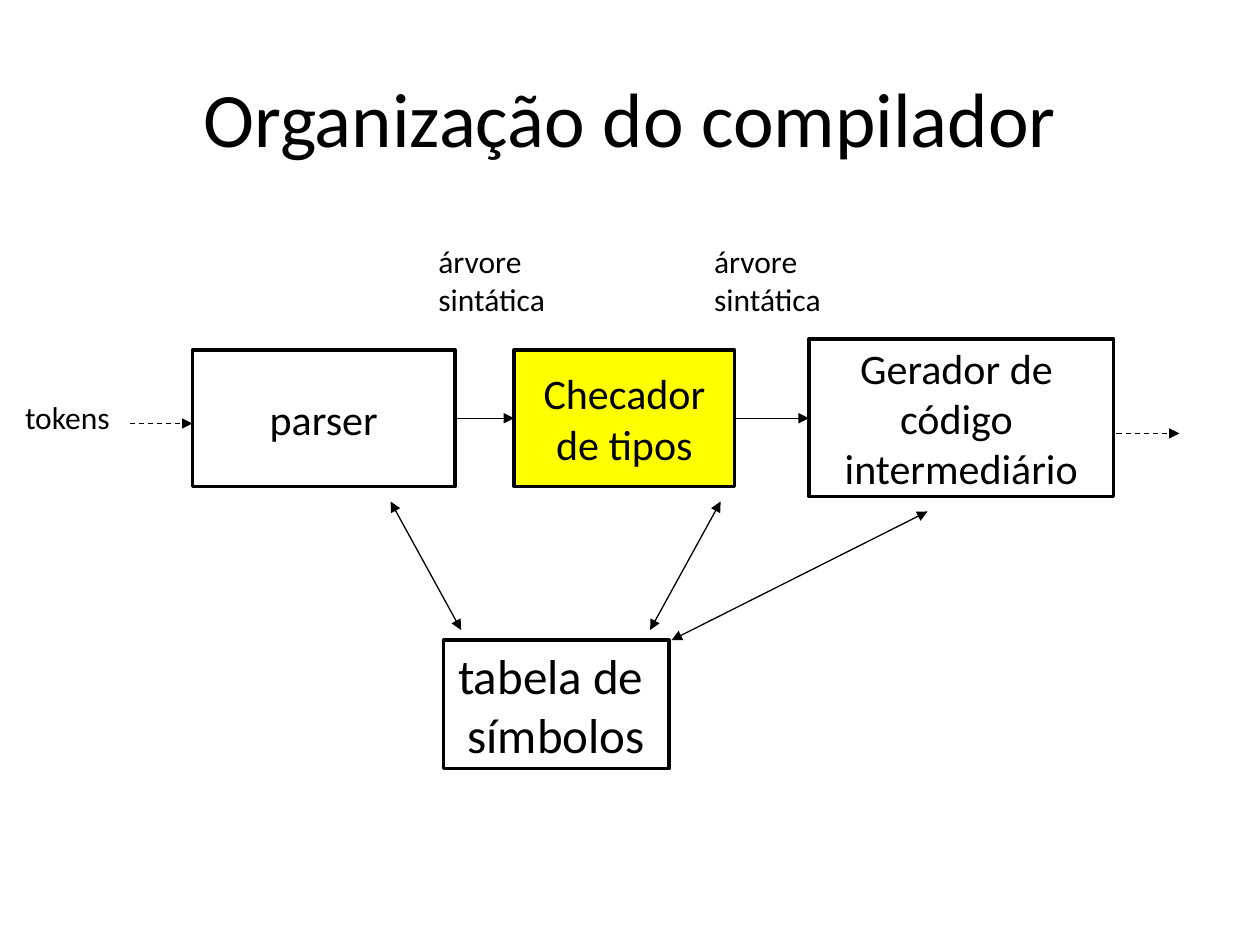
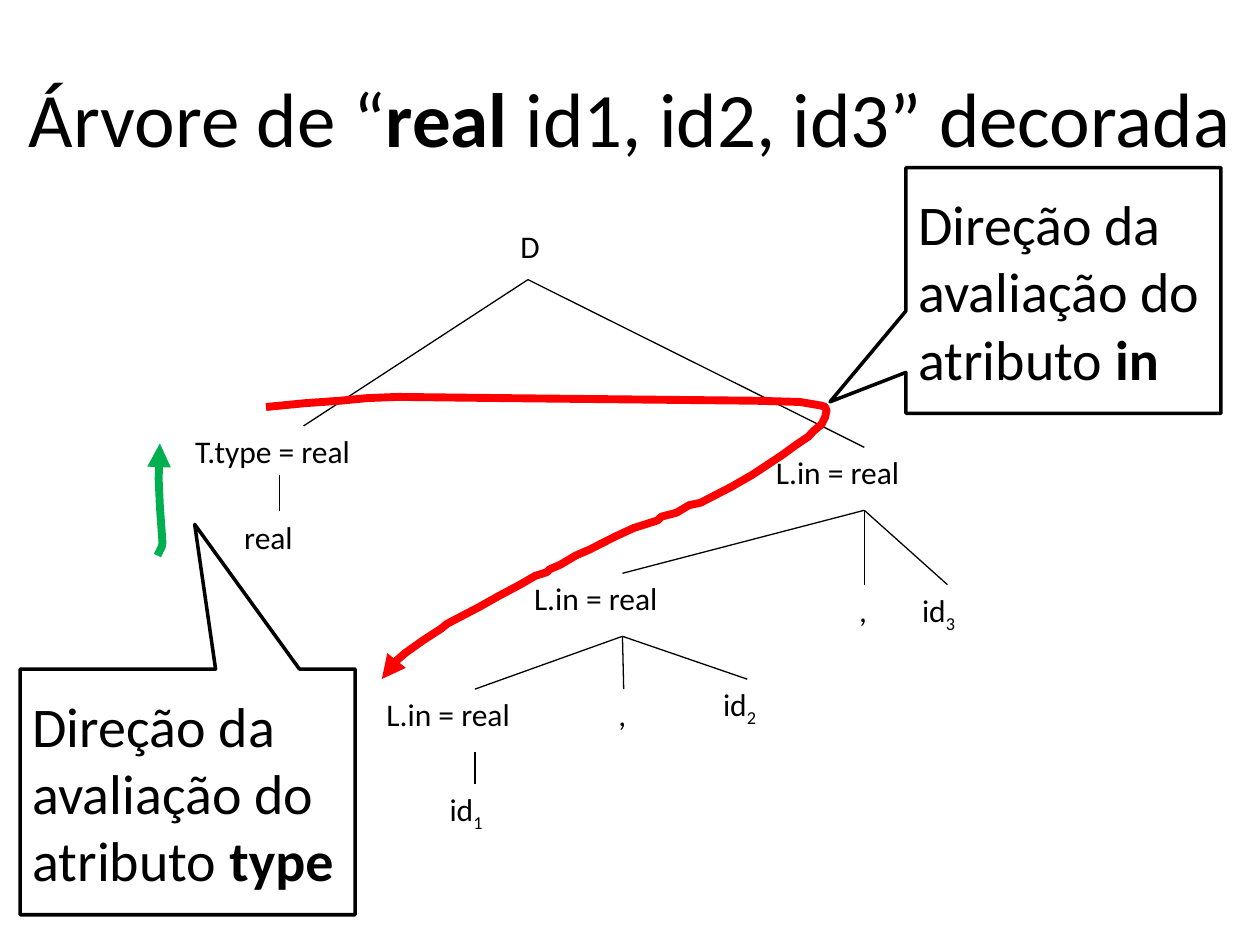
import pptx
import pptx.util
import pptx.dml.color
import pptx.enum.dml
import pptx.enum.shapes
import pptx.enum.text
import pptx.oxml.ns
from lxml import etree

Pt = pptx.util.Pt
RGB = pptx.dml.color.RGBColor
SHAPE = pptx.enum.shapes.MSO_SHAPE
ALIGN = pptx.enum.text.PP_ALIGN
ANCHOR = pptx.enum.text.MSO_ANCHOR
AUTO = pptx.enum.text.MSO_AUTO_SIZE
qn = pptx.oxml.ns.qn

FONT = "Calibri"
BLACK = RGB(0, 0, 0)
WHITE = RGB(255, 255, 255)
YELLOW = RGB(255, 255, 0)
RED = RGB(255, 0, 0)
GREEN = RGB(0, 176, 80)
PALE_GREEN = RGB(235, 241, 222)

ORG_TITLE = [("Organização do compilador", "")]
BOXES = [
    ("parser", (110, 200, 150, 78), WHITE, 24),
    ("Checador\nde tipos", (293.8, 200, 126, 78), YELLOW, 24),
    ("Gerador de \ncódigo \nintermediário", (462.2, 193.7, 174.2, 90), WHITE, 24),
    ("tabela de \vsímbolos", (253.4, 365.8, 128.9, 73.4), WHITE, 28),
]
FLOW_ARROWS = [((260, 239), (293.8, 239)), ((419.8, 239), (462.2, 239))]
OUTER_ARROWS = [((74.2, 242), (110, 242)), ((638, 247.7), (674, 247.7))]
TABLE_ARROWS = [
    ((263.5, 360), (223.2, 286.6)),
    ((371.5, 360), (411.8, 286.6)),
    ((383.8, 365.8), (530, 292.3)),
]
TREE_LABEL_LEFTS = [243.4, 401]

TREE_TITLE = [("Árvore de “", ""), ("real", "b"), (" id1, id2, id3” decorada", "")]
NODES = [
    ("D", "", 290.2, 126, 23),
    ("T.type = real", "", 104.4, 243.4, 137.5),
    ("real", "", 132.5, 292.3, 54.7),
    ("L.in = real", "", 436.3, 255.6, 115.2),
    ("L.in = real", "", 298.1, 327.6, 115.2),
    ("L.in = real", "", 213.8, 393.8, 115.2),
    (",", "", 483.8, 334.1, 20.2),
    (",", "", 346.3, 393.8, 20.2),
    ("id", "3", 519.8, 334.1, 42.5),
    ("id", "2", 406.1, 388.1, 42.5),
    ("id", "1", 249.8, 447.8, 42.5),
]
BRANCHES = [
    ((301.7, 159.8), [(173.5, 243.4), (493.9, 255.6)]),
    ((159.8, 271.4), [(159.8, 292.3)]),
    ((493.9, 291.6), [(355.7, 327.6), (493.9, 334.1), (541.4, 334.1)]),
    ((355.7, 363.6), [(271.4, 393.8), (356.4, 393.8), (427, 388.1)]),
    ((271.4, 429.8), [(271.4, 447.8)]),
]
CALLOUTS = [
    ("in", (517.7, 95.8, 180, 140.4), (-0.741, 0.453)),
    ("type", (11.5, 382.3, 191.5, 140.4), (0.021, -1.089)),
]
IN_ROUTE = [
    (152, 232.6), (174.2, 230.4), (194.4, 229), (210, 227.5), (227.5, 226.8),
    (286.6, 227.5), (431.3, 229), (457.2, 229.7), (469.4, 231.8), (471.6, 232.6),
    (472.3, 234.7), (471.5, 238.5), (469.4, 242.6), (465, 246.2), (462, 249.5),
    (455, 254.2), (447, 260), (429.8, 271.4), (418.3, 278), (400.3, 287.3),
    (393.8, 288.7), (386.6, 293), (378, 295.2), (375.8, 297.4), (362.2, 301.7),
    (351.4, 306.7), (337, 314), (329, 317.5), (320.4, 322.6), (314, 325.4),
    (312.5, 327), (306, 329), (297.4, 334), (285, 340.6), (273.6, 347),
    (255.6, 356.4), (252, 359.3), (242, 365.8), (231.8, 373), (226, 378),
    (220.3, 383.8), (218.2, 388),
]
TYPE_ROUTE = [(90, 317.5), (91.4, 314.6), (92.5, 312.5), (92.9, 310.3),
              (91.4, 289.4), (90.7, 273.6), (91.4, 253.4)]


def put_text(tf, runs, size=18, align=ALIGN.LEFT, anchor=ANCHOR.TOP, wrap=True,
             auto=AUTO.NONE):
    tf.word_wrap = wrap
    tf.auto_size = auto
    tf.vertical_anchor = anchor
    p = tf.paragraphs[0]
    p.alignment = align
    for text, style in runs:
        for i, para in enumerate(text.split("\n")):
            if i:
                p = tf.add_paragraph()
                p.alignment = align
            for j, line in enumerate(para.split("\v")):
                if j:
                    p.add_line_break()
                r = p.add_run()
                r.text = line
                r.font.name = FONT
                r.font.size = Pt(size)
                r.font.color.rgb = BLACK
                if style == "b":
                    r.font.bold = True
                if style == "sub":
                    r.font._element.set("baseline", "-25000")


def add_label(slide, runs, at, **fmt):
    sp = slide.shapes.add_textbox(*map(Pt, at))
    put_text(sp.text_frame, runs, auto=AUTO.SHAPE_TO_FIT_TEXT, **fmt)


def style_shape(sp, fill, color, width):
    sp.shadow.inherit = False
    if fill is None:
        sp.fill.background()
    else:
        sp.fill.solid()
        sp.fill.fore_color.rgb = fill
    sp.line.color.rgb = color
    sp.line.width = Pt(width)


def add_heads(sp, *ends):
    ln = sp.line._get_or_add_ln()
    for end in ends:
        etree.SubElement(ln, qn("a:" + end), type="triangle")


def add_line(slide, start, end, heads=(), dashed=False):
    cx = slide.shapes.add_connector(pptx.enum.shapes.MSO_CONNECTOR.STRAIGHT,
                                    *map(Pt, start + end))
    cx.line.color.rgb = BLACK
    cx.line.width = Pt(0.75)
    if dashed:
        cx.line.dash_style = pptx.enum.dml.MSO_LINE.DASH
    add_heads(cx, *heads)
    etree.SubElement(cx._element.spPr, qn("a:effectLst"))


def add_route(slide, points, color, fill=None):
    pts = [(Pt(x), Pt(y)) for x, y in points]
    fb = slide.shapes.build_freeform(*pts[0], scale=1.0)
    fb.add_line_segments(pts[1:], close=False)
    sp = fb.convert_to_shape()
    style_shape(sp, fill, color, 4.5)
    add_heads(sp, "tailEnd")


def add_slide(prs, title, left, width):
    slide = prs.slides.add_slide(prs.slide_layouts[5])
    sp = slide.shapes.title
    sp.left, sp.top, sp.width, sp.height = map(Pt, (left, 21.6, width, 90))
    put_text(sp.text_frame, title, size=44, align=ALIGN.CENTER, anchor=ANCHOR.MIDDLE)
    return slide


def build_organization(prs):
    slide = add_slide(prs, ORG_TITLE, 36, 648)
    for text, at, fill, size in BOXES:
        sp = slide.shapes.add_shape(SHAPE.RECTANGLE, *map(Pt, at))
        style_shape(sp, fill, BLACK, 2)
        put_text(sp.text_frame, [(text, "")], size=size, align=ALIGN.CENTER,
                 anchor=ANCHOR.MIDDLE, wrap=False)
    add_label(slide, [("tokens", "")], (0, 224, 77, 36), align=ALIGN.CENTER, wrap=False)
    for left in TREE_LABEL_LEFTS:
        add_label(slide, [("árvore\vsintática", "")], (left, 134.6, 94.3, 51))
    for start, end in FLOW_ARROWS:
        add_line(slide, start, end, ["tailEnd"])
    for start, end in OUTER_ARROWS:
        add_line(slide, start, end, ["tailEnd"], dashed=True)
    for start, end in TABLE_ARROWS:
        add_line(slide, start, end, ["headEnd", "tailEnd"])


def build_tree(prs):
    slide = add_slide(prs, TREE_TITLE, 0, 720)
    for text, index, left, top, width in NODES:
        runs = [(text, "")] + ([(index, "sub")] if index else [])
        add_label(slide, runs, (left, top, width, 36), wrap=False)
    for parent, children in BRANCHES:
        for child in children:
            add_line(slide, parent, child)
    add_route(slide, IN_ROUTE, RED)
    for attribute, at, tip in CALLOUTS:
        sp = slide.shapes.add_shape(SHAPE.RECTANGULAR_CALLOUT, *map(Pt, at))
        sp.adjustments[0], sp.adjustments[1] = tip
        style_shape(sp, None, BLACK, 2)
        put_text(sp.text_frame, [("Direção da avaliação do atributo ", ""), (attribute, "b")],
                 size=32, anchor=ANCHOR.MIDDLE)
    add_route(slide, TYPE_ROUTE, GREEN, PALE_GREEN)


prs = pptx.Presentation()
prs.slide_width, prs.slide_height = Pt(720), Pt(540)
build_organization(prs)
build_tree(prs)
prs.save("out.pptx")
